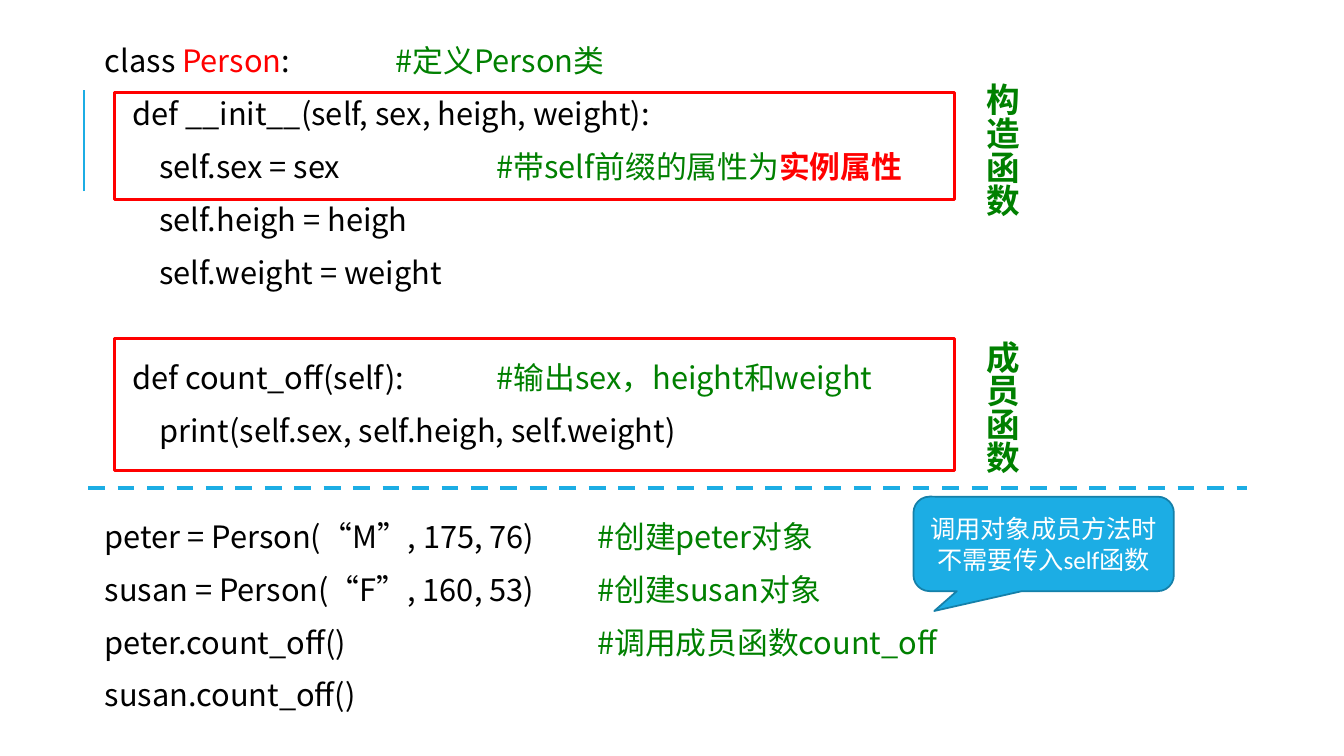
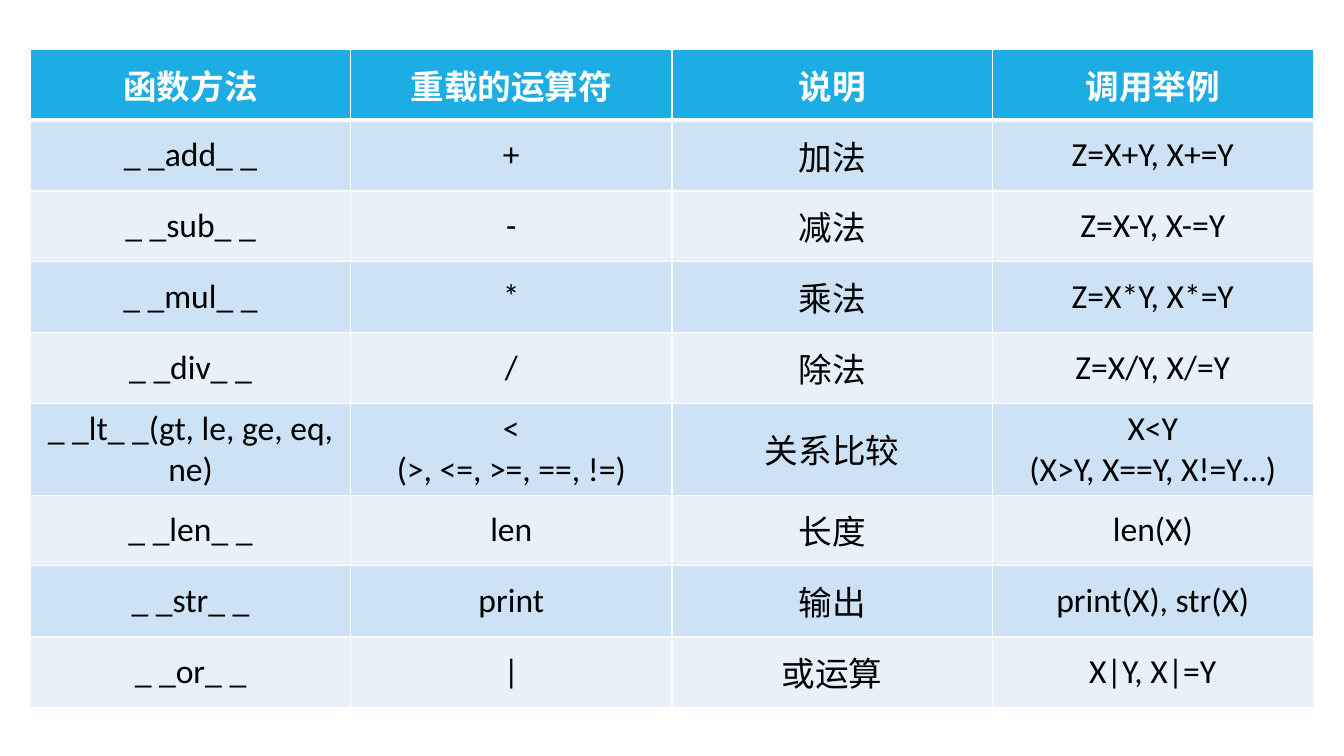
from lxml import etree
from pptx import Presentation
from pptx import util as u
from pptx.dml.color import RGBColor
from pptx.enum import dml, shapes, text
from pptx.oxml.ns import qn

PX = 9525
COLORS = {
    "accent": "1CADE4", "edge": "1580A9", "red": "FF0000", "green": "008000",
    "black": "000000", "white": "FFFFFF", "band": "CDE3F5", "pale": "E8F1FA",
}
RGB = {name: RGBColor.from_string(value) for name, value in COLORS.items()}
CODE_FONT = "Noto Sans CJK SC"


def add_span(para, words, color, **formats):
    span = para.add_run()
    span.text = words
    span.font.color.rgb = RGB[color]
    for name, value in formats.items():
        setattr(span.font, name, value)
    if formats["name"] == CODE_FONT:
        etree.SubElement(span.font._element, qn("a:ea"), typeface=CODE_FONT)


def add_rule(page, ends, width, dash=None):
    rule = page.shapes.add_connector(shapes.MSO_CONNECTOR.STRAIGHT, *[end * PX for end in ends])
    rule.line.color.rgb = RGB["accent"]
    rule.line.width = u.Pt(width)
    if dash:
        rule.line.dash_style = dash
    etree.SubElement(rule.element.spPr, qn("a:effectLst"))
    return rule


deck = Presentation()
deck.slide_width, deck.slide_height = 1280 * PX, 720 * PX
blank = deck.slide_layouts[6]

page = deck.slides.add_slide(blank)
shared_rule = add_rule(page, (80, 182, 80, 86), 1.5)
blank.shapes.element.append(shared_rule.element)

CODE_LINES = [
    (0, 12, 288, [("class ", "black"), ("Person", "red"), (":\t", "black"), ("#定义Person类", "green")]),
    (1, 12, 0, [("def __init__(self, sex, heigh, weight):", "black")]),
    (2, 12, 384, [("self.sex = sex\t", "black"), ("#带self前缀的属性为", "green"), ("实例属性", "red")]),
    (2, 12, 0, [("self.heigh = heigh", "black")]),
    (2, 12, 0, [("self.weight = weight", "black")]),
    (1, 49.7, 384, [("def count_off(self):\t", "black"), ("#输出sex，height和weight", "green")]),
    (2, 12, 0, [("print(self.sex, self.heigh, self.weight)", "black")]),
    (0, 49.7, 480, [("peter = Person(“M”, 175, 76)\t", "black"), ("#创建peter对象", "green")]),
    (0, 12, 480, [("susan = Person(“F”, 160, 53)\t", "black"), ("#创建susan对象", "green")]),
    (0, 12, 480, [("peter.count_off()\t", "black"), ("#调用成员函数count_off", "green")]),
    (0, 12, 0, [("susan.count_off()", "black")]),
]
box = page.shapes.add_textbox(84 * PX, 39 * PX, 1020 * PX, 422 * PX)
frame = box.text_frame
frame.word_wrap = True
for side in ("left", "top", "right", "bottom"):
    setattr(frame, "margin_" + side, 5 * PX)
for index, (level, before, stop, spans) in enumerate(CODE_LINES):
    para = frame.add_paragraph() if index else frame.paragraphs[0]
    formats = {"line_spacing": 0.9, "space_before": u.Pt(before), "space_after": u.Pt(2)}
    for name, value in formats.items():
        setattr(para, name, value)
    indent = 11 + 26 * level
    properties = para._p.get_or_add_pPr()
    properties.set("marL", str(indent * PX))
    if stop:
        properties.set("defTabSz", str((stop - indent) * PX))
    for words, color in spans:
        add_span(para, words, color, name=CODE_FONT, size=u.Pt(22), bold=words == "实例属性")

callout = page.shapes.add_shape(
    shapes.MSO_SHAPE.ROUNDED_RECTANGULAR_CALLOUT, 870 * PX, 473 * PX, 248 * PX, 90 * PX)
callout.shadow.inherit = False
for index, value in enumerate((-0.42, 0.71, 0.17)):
    callout.adjustments[index] = value
callout.fill.solid()
callout.fill.fore_color.rgb = RGB["accent"]
callout.line.color.rgb = RGB["edge"]
callout.line.width = u.Pt(1.25)
callout.text_frame.word_wrap = True
callout.text_frame.vertical_anchor = text.MSO_ANCHOR.MIDDLE
para = callout.text_frame.paragraphs[0]
para.alignment = text.PP_ALIGN.CENTER
add_span(para, "调用对象成员方法时不需要传入self函数", "white", name="Calibri", size=u.Pt(18))

add_rule(page, (84, 465, 1188, 465), 3, dml.MSO_LINE.DASH)

for top, height, label_top, label in ((88, 102, 70, "构造函数"), (322, 126, 315, "成员函数")):
    outline = page.shapes.add_shape(
        shapes.MSO_SHAPE.RECTANGLE, 109 * PX, top * PX, 800 * PX, height * PX)
    outline.shadow.inherit = False
    outline.fill.background()
    outline.line.color.rgb = RGB["red"]
    outline.line.width = u.Pt(2.25)
    box = page.shapes.add_textbox(919 * PX, label_top * PX, 59 * PX, 139 * PX)
    box.text_frame.word_wrap = False
    box.text_frame.auto_size = text.MSO_AUTO_SIZE.SHAPE_TO_FIT_TEXT
    box.element.find(".//" + qn("a:bodyPr")).set("vert", "eaVert")
    add_span(box.text_frame.paragraphs[0], label, "green", name=CODE_FONT, size=u.Pt(24), bold=True)

page = deck.slides.add_slide(blank)
ROWS = [
    ("函数方法", "重载的运算符", "说明", "调用举例"),
    ("_ _add_ _", "+", "加法", "Z=X+Y, X+=Y"),
    ("_ _sub_ _", "-", "减法", "Z=X-Y, X-=Y"),
    ("_ _mul_ _", "*", "乘法", "Z=X*Y, X*=Y"),
    ("_ _div_ _", "/", "除法", "Z=X/Y, X/=Y"),
    ("_ _lt_ _(gt, le, ge, eq, ne)", "<\n(>, <=, >=, ==, !=)", "关系比较", "X<Y\n(X>Y, X==Y, X!=Y…)"),
    ("_ _len_ _", "len", "长度", "len(X)"),
    ("_ _str_ _", "print", "输出", "print(X), str(X)"),
    ("_ _or_ _", "|", "或运算", "X|Y, X|=Y"),
]
table = page.shapes.add_table(
    len(ROWS), 4, 29 * PX, 47 * PX, 1222 * PX, 627 * PX).table
for index, column in enumerate(table.columns):
    column.width = (305 + index % 2) * PX
for row_index, row in enumerate(ROWS):
    header = row_index == 0
    table.rows[row_index].height = (67 + row_index % 2) * PX
    for column_index, words in enumerate(row):
        cell = table.cell(row_index, column_index)
        cell.vertical_anchor = text.MSO_ANCHOR.MIDDLE
        properties = cell._tc.get_or_add_tcPr()
        for side in ("lnL", "lnR", "lnT", "lnB"):
            thick = (header and side == "lnB") or (row_index == 1 and side == "lnT")
            border = etree.SubElement(properties, qn("a:" + side), w=str(u.Pt(3 if thick else 1)))
            paint = etree.SubElement(border, qn("a:solidFill"))
            etree.SubElement(paint, qn("a:srgbClr"), val=COLORS["white"])
        cell.fill.solid()
        cell.fill.fore_color.rgb = RGB["accent" if header else "band" if row_index % 2 else "pale"]
        for index, line in enumerate(words.split("\n")):
            para = cell.text_frame.add_paragraph() if index else cell.text_frame.paragraphs[0]
            para.alignment = text.PP_ALIGN.CENTER
            add_span(para, line, "white" if header else "black",
                     name="Calibri", size=u.Pt(24), bold=header)

deck.save("out.pptx")
